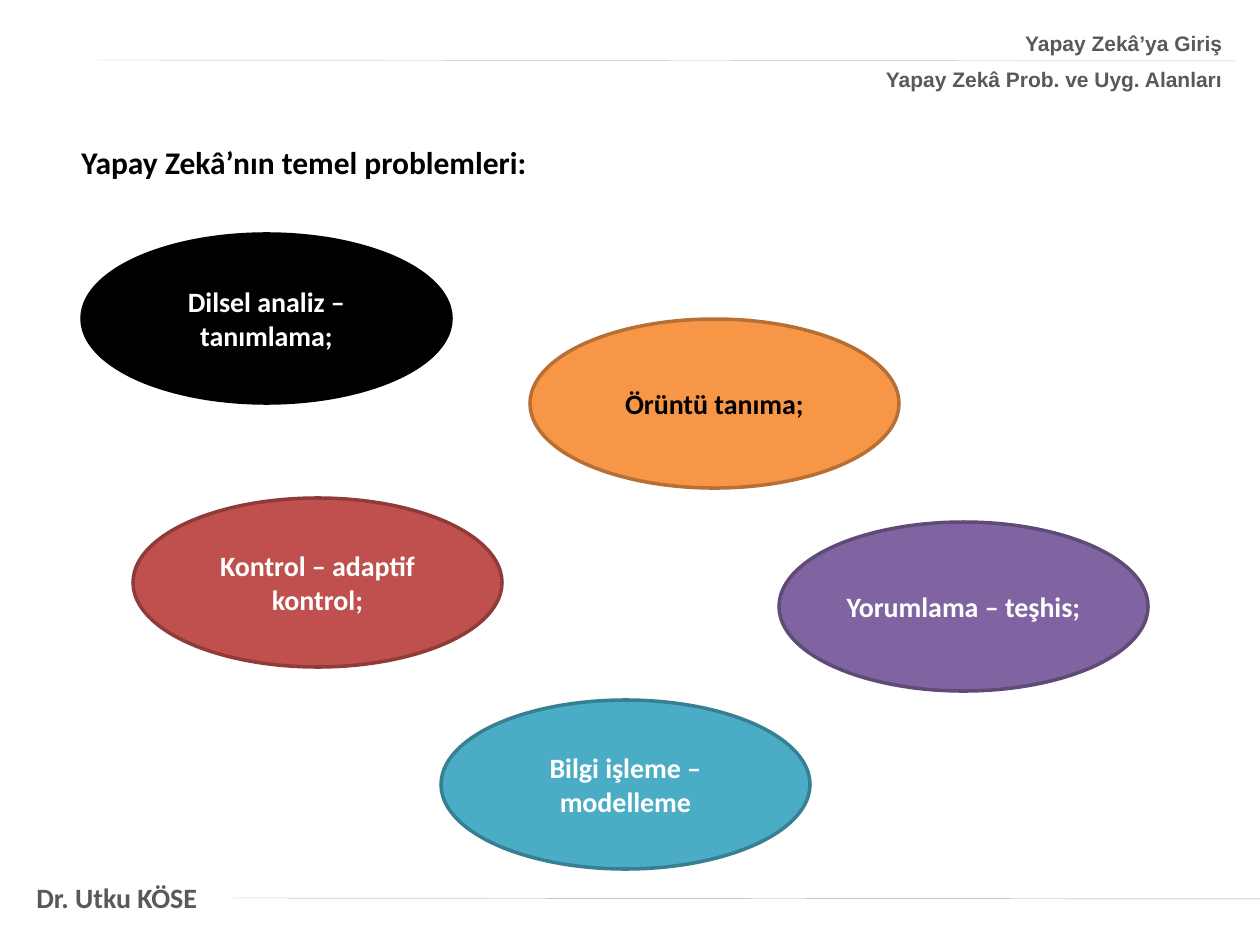
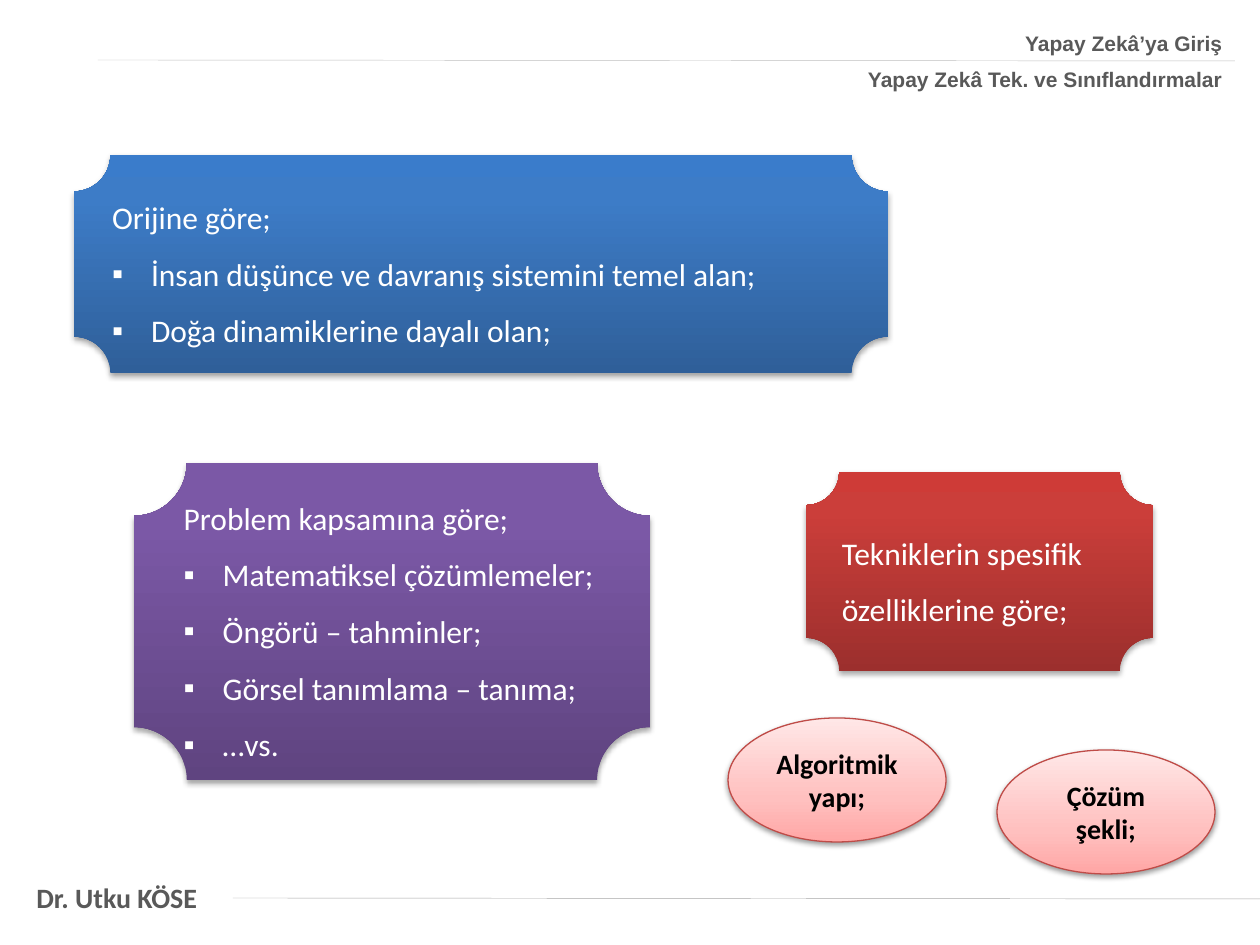
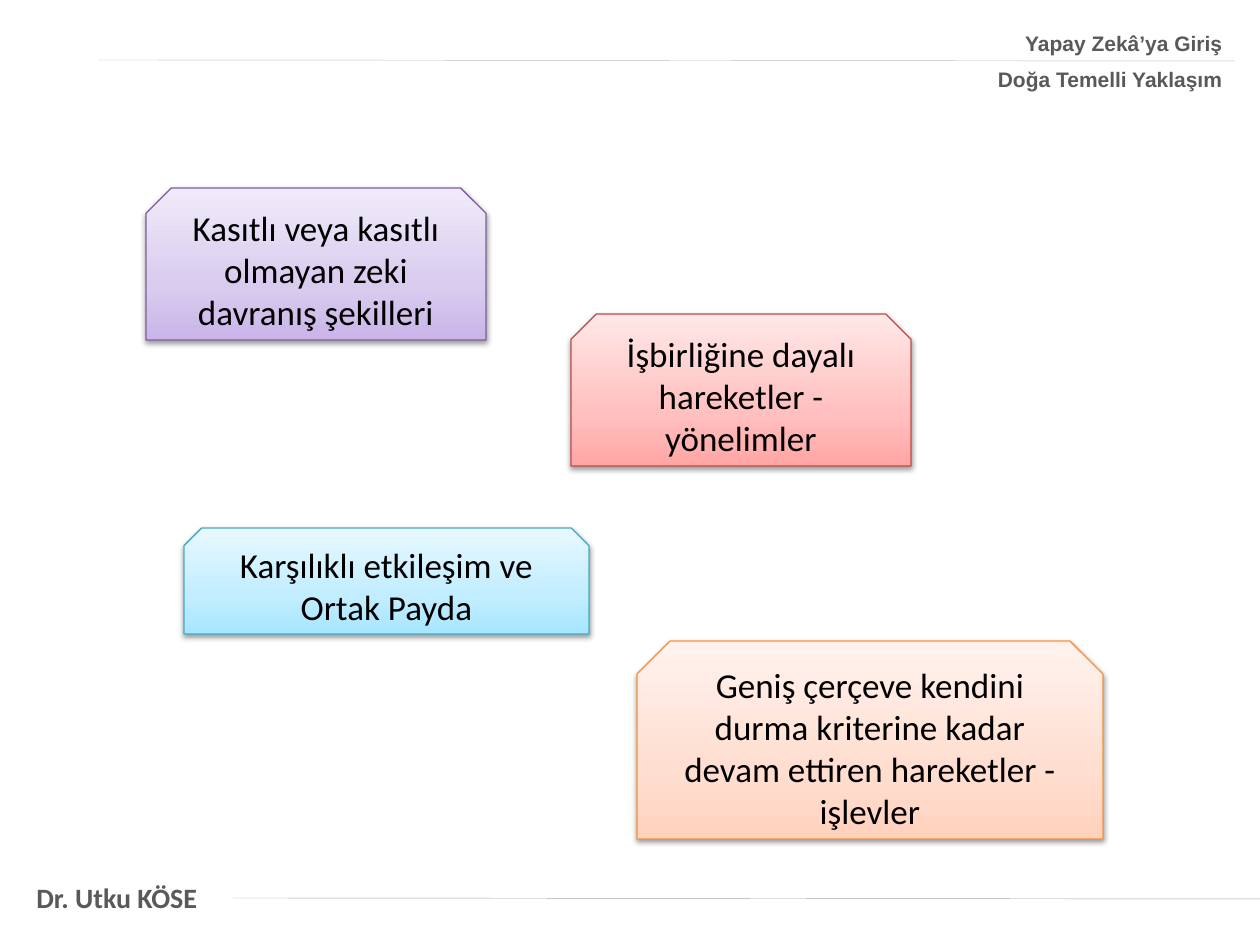
from dataclasses import dataclass

from lxml import etree
from pptx import Presentation
from pptx import util as u
from pptx.dml.color import RGBColor
from pptx.enum import shapes, text
from pptx.oxml import ns


@dataclass(frozen=True)
class Theme:
    px: float = 914400 / 126
    body: str = "Calibri"
    head: str = "Arial"
    black: str = "000000"
    white: str = "FFFFFF"
    grey: str = "595959"
    footer_rule: str = "A6A6A6"
    header_rule: str = "BFBFBF"
    orange: tuple = ("F79646", "B76F34")
    red: tuple = ("C0504D", "8E3B39")
    purple: tuple = ("8064A2", "5F4A78")
    teal: tuple = ("4BACC6", "377F92")
    deep_blue: tuple = ("2F5F99", "3D7CC7", "3A7CCB")
    deep_purple: tuple = ("5F4480", "7B58A6", "7C57A8")
    deep_red: tuple = ("9C2F2D", "CB3E3A", "CE3B37")
    soft_red: tuple = ("FFA6A5", "FFC0BF", "FFE7E7", "BF4C48")
    soft_purple: tuple = ("C9B5E8", "D8CBEE", "F0EAF9", "7D60A0")
    soft_blue: tuple = ("A7E6FF", "C1EDFF", "E7F8FF", "46AAC5")
    soft_orange: tuple = ("FFD2BD", "FFDED0", "FFF2ED", "F69240")
    header_size: int = 12
    label_size: int = 16
    list_size: int = 18
    card_size: int = 20


T = Theme()
A = ns.nsdecls("a")
LEFT, CENTER, RIGHT = text.PP_ALIGN.LEFT, text.PP_ALIGN.CENTER, text.PP_ALIGN.RIGHT
OVAL, PLAQUE = shapes.MSO_SHAPE.OVAL, shapes.MSO_SHAPE.PLAQUE
SNIP = shapes.MSO_SHAPE.SNIP_2_SAME_RECTANGLE


def write(tf, lines, size, color, bold=False, align=LEFT, font=T.body, bullets=False):
    tf.text = "\n".join(lines)
    for i, p in enumerate(tf.paragraphs):
        p.alignment = align
        if bullets and i:
            pPr = p._p.get_or_add_pPr()
            pPr.set("marL", str(round(39 * T.px)))
            pPr.set("indent", str(round(-39 * T.px)))
            etree.SubElement(pPr, ns.qn("a:buFont"), typeface="Arial")
            etree.SubElement(pPr, ns.qn("a:buChar"), char="▪")
        for r in p.runs:
            r.font.name, r.font.size, r.font.bold = font, u.Pt(size), bold
            r.font.color.rgb = RGBColor.from_string(color)


def add_gradient(s, kind, box, colors, middle, distance):
    sp = s.shapes.add_shape(kind, *(round(v * T.px) for v in box))
    sp.fill.gradient()
    sp.fill.gradient_angle = 90
    sp.shadow.inherit = False
    stops = sp.element.spPr.find(".//" + ns.qn("a:gsLst"))
    for stop in list(stops):
        stops.remove(stop)
    for at, color in zip((0, middle, 100), colors):
        stop = etree.SubElement(stops, ns.qn("a:gs"), pos=str(at * 1000))
        etree.SubElement(stop, ns.qn("a:srgbClr"), val=color)
    if len(colors) > 3:
        sp.line.color.rgb = RGBColor.from_string(colors[3])
        sp.line.width = u.Pt(0.75)
    else:
        sp.line.fill.background()
    alpha = 38 if len(colors) > 3 else 35
    sp.element.spPr.find(ns.qn("a:effectLst")).append(etree.fromstring(
        f'<a:outerShdw {A} blurRad="40000" dist="{distance}" dir="5400000" rotWithShape="0">'
        f'<a:srgbClr val="000000"><a:alpha val="{alpha}000"/></a:srgbClr></a:outerShdw>'))
    return sp


prs = Presentation()
prs.slide_width, prs.slide_height = round(1260 * T.px), round(945 * T.px)
layout = prs.slide_layouts[5]

topics = ["Yapay Zekâ Prob. ve Uyg. Alanları", "Yapay Zekâ Tek. ve Sınıflandırmalar",
          "Doğa Temelli Yaklaşım"]
slides = []
for topic in topics:
    s = prs.slides.add_slide(layout)
    title = s.shapes.title
    title.left, title.top, title.width, title.height = (
        round(v * T.px) for v in (719, 24, 516, 74))
    tf = title.text_frame
    write(tf, ["Yapay Zekâ’ya Giriş", topic], T.header_size, T.grey, True, RIGHT, T.head)
    tf.auto_size, tf.vertical_anchor = text.MSO_AUTO_SIZE.NONE, text.MSO_ANCHOR.TOP
    for p in tf.paragraphs:
        p.space_after = u.Pt(6)
    slides.append(s)
problems, techniques, nature = slides

author = problems.shapes.add_textbox(*(round(v * T.px) for v in (24, 874, 189, 47)))
write(author.text_frame, ["Dr. Utku KÖSE"], T.label_size, T.grey, True)
author.text_frame.word_wrap = False
layout.shapes.element.append(author.element)
for ends, color in [((98, 60, 1235, 61), T.header_rule), ((233, 898, 1260, 899), T.footer_rule)]:
    rule = problems.shapes.add_connector(
        shapes.MSO_CONNECTOR.STRAIGHT, *(round(v * T.px) for v in ends))
    rule.line.color.rgb = RGBColor.from_string(color)
    rule.line.width = u.Pt(0.25)
    etree.SubElement(rule.element.spPr, ns.qn("a:effectLst"))
    layout.shapes.element.append(rule.element)

heading = problems.shapes.add_textbox(*(round(v * T.px) for v in (69, 137, 586, 50)))
heading.text_frame.word_wrap = True
write(heading.text_frame, ["Yapay Zekâ’nın temel problemleri:"], T.list_size, T.black, True)

for x, y, label, (fill, line), color in [
    (82, 234, "Dilsel analiz – tanımlama;", (T.black, T.black), T.white),
    (530, 319, "Örüntü tanıma;", T.orange, T.black),
    (133, 498, "Kontrol – adaptif kontrol;", T.red, T.white),
    (779, 522, "Yorumlama – teşhis;", T.purple, T.white),
    (441, 700, "Bilgi işleme – modelleme", T.teal, T.white),
]:
    sp = problems.shapes.add_shape(OVAL, *(round(v * T.px) for v in (x, y, 369, 169)))
    sp.shadow.inherit = False
    sp.fill.solid()
    sp.fill.fore_color.rgb = RGBColor.from_string(fill)
    sp.line.color.rgb = RGBColor.from_string(line)
    sp.line.width = u.Pt(2)
    write(sp.text_frame, [label], T.label_size, color, True, CENTER)

for box, colors, lines in [
    ((74, 155, 814, 218), T.deep_blue,
     ["Orijine göre;", "İnsan düşünce ve davranış sistemini temel alan;",
      "Doğa dinamiklerine dayalı olan;"]),
    ((134, 463, 516, 317), T.deep_purple,
     ["Problem kapsamına göre;", "Matematiksel çözümlemeler;", "Öngörü – tahminler;",
      "Görsel tanımlama – tanıma;", "…vs."]),
    ((806, 472, 347, 199), T.deep_red, ["Tekniklerin spesifik özelliklerine göre;"]),
]:
    sp = add_gradient(techniques, PLAQUE, box, colors, 80, 23000)
    write(sp.text_frame, lines, T.list_size, T.white, bullets=True)
    for p in sp.text_frame.paragraphs:
        p.line_spacing = 1.5

for x, y, label in [(728, 718, "Algoritmik yapı;"), (997, 750, "Çözüm şekli;")]:
    sp = add_gradient(techniques, OVAL, (x, y, 218, 124), T.soft_red, 35, 20000)
    write(sp.text_frame, [label], T.label_size, T.black, True, CENTER)

for box, colors, label in [
    ((146, 188, 340, 152), T.soft_purple, "Kasıtlı veya kasıtlı olmayan zeki davranış şekilleri"),
    ((184, 528, 405, 106), T.soft_blue, "Karşılıklı etkileşim ve Ortak Payda"),
    ((571, 314, 340, 152), T.soft_red, "İşbirliğine dayalı hareketler - yönelimler"),
    ((637, 641, 466, 198), T.soft_orange,
     "Geniş çerçeve kendini durma kriterine kadar devam ettiren hareketler - işlevler"),
]:
    sp = add_gradient(nature, SNIP, box, colors, 35, 20000)
    sp.text_frame.vertical_anchor = text.MSO_ANCHOR.TOP
    sp.text_frame.auto_size = text.MSO_AUTO_SIZE.SHAPE_TO_FIT_TEXT
    write(sp.text_frame, [label], T.card_size, T.black, align=CENTER)

prs.save("out.pptx")
